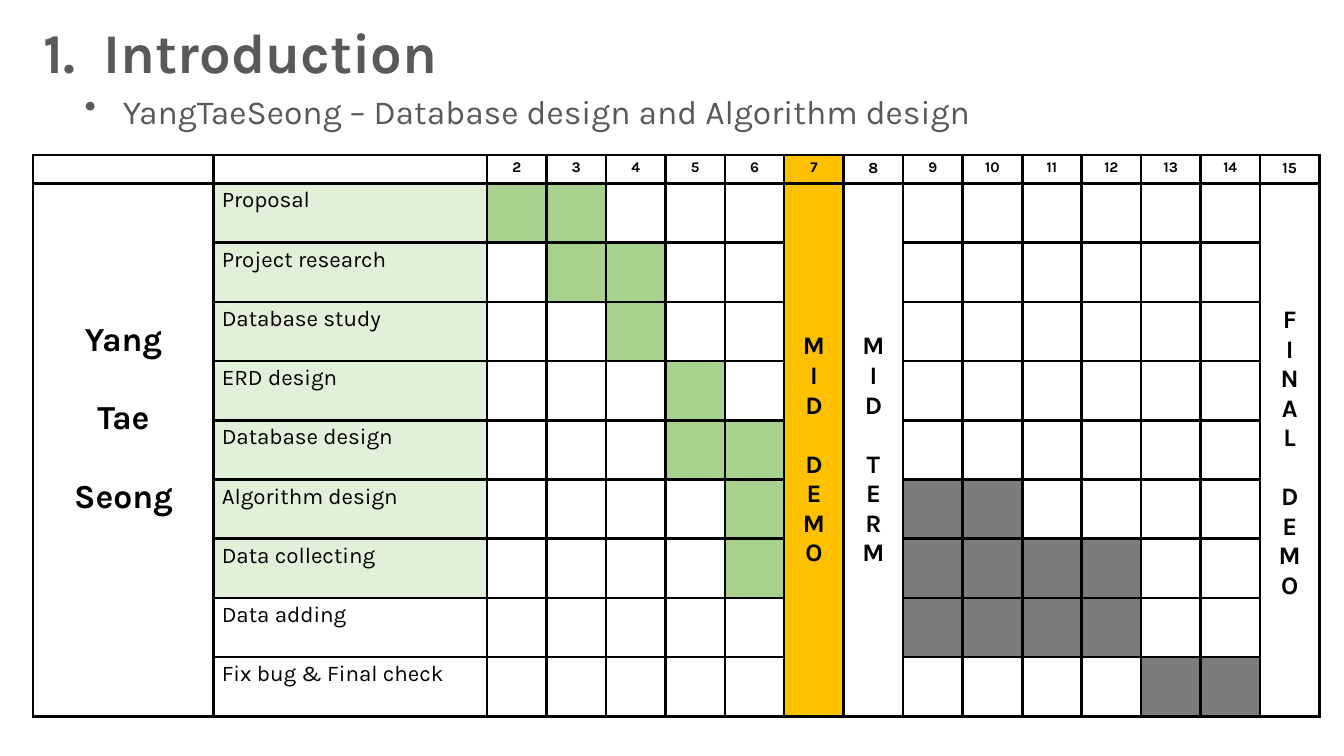
from dataclasses import dataclass

from lxml.etree import SubElement
from pptx import Presentation
from pptx.dml.color import RGBColor
from pptx.enum.text import MSO_ANCHOR as Anchor, PP_ALIGN as Align
from pptx.oxml.ns import qn
from pptx.slide import Slide
from pptx.table import Table, _Cell as Cell
from pptx.text.text import _Paragraph as Paragraph
from pptx.util import Inches, Pt

FONT = "Karla"
BLACK = RGBColor(0x00, 0x00, 0x00)
WHITE = RGBColor(0xFF, 0xFF, 0xFF)
HEADING_GREY = RGBColor(0x59, 0x59, 0x59)
PALE_GREEN = RGBColor(0xE2, 0xF0, 0xD9)
DONE_GREEN = RGBColor(0xA9, 0xD1, 0x8E)
PLANNED_GREY = RGBColor(0x7C, 0x7C, 0x7C)
AMBER = RGBColor(0xFF, 0xC0, 0x00)

FIRST_WEEK, LAST_WEEK = 2, 15
WEEK_COLUMN = 2
THICK_AFTER = (4, 10)
THIN, THICK = Pt(1.98), Pt(2.55)
HEADER_HEIGHT, BODY_HEIGHT = 0.28, 5.29


@dataclass(frozen=True)
class Task:
    name: str
    done: tuple[int, ...] = ()
    planned: tuple[int, ...] = ()


@dataclass(frozen=True)
class Band:
    """A column merged over all tasks, with one line per entry."""
    column: int
    groups: tuple[tuple[str, ...], ...]
    size: float
    gap: float
    fill: RGBColor = WHITE
    top: float | None = None  # None centres the text vertically


TASKS = [
    Task("Proposal", done=(2, 3)),
    Task("Project research", done=(3, 4)),
    Task("Database study", done=(4,)),
    Task("ERD design", done=(5,)),
    Task("Database design", done=(5, 6)),
    Task("Algorithm design", done=(6,), planned=(9, 10)),
    Task("Data collecting", done=(6,), planned=(9, 10, 11, 12)),
    Task("Data adding", planned=(9, 10, 11, 12)),
    Task("Fix bug & Final check", planned=(13, 14)),
]


def column_of(week: int) -> int:
    return week - FIRST_WEEK + WEEK_COLUMN


BANDS = [
    Band(0, (("Yang",), ("Tae",), ("Seong",)), 24, 28, top=1.36),
    Band(column_of(7), (tuple("MID"), tuple("DEMO")), 18, 21, AMBER),
    Band(column_of(8), (tuple("MID"), tuple("TERM")), 18, 21),
    Band(column_of(15), (tuple("FINAL"), tuple("DEMO")), 18, 21, top=1.21),
]


def style(paragraph: Paragraph, size: float, color: RGBColor = BLACK, bold: bool = False) -> None:
    font = paragraph.font
    font.name, font.size, font.bold = FONT, Pt(size), bold
    font.color.rgb = color


def add_heading(slide: Slide, text: str, box: tuple[float, ...], size: float, bold: bool) -> Paragraph:
    frame = slide.shapes.add_textbox(*map(Inches, box)).text_frame
    frame.word_wrap = True
    paragraph = frame.paragraphs[0]
    paragraph.text = text
    style(paragraph, size, HEADING_GREY, bold)
    return paragraph


def add_bullet(paragraph: Paragraph, indent: float) -> None:
    properties = paragraph._p.get_or_add_pPr()
    properties.set("marL", str(Inches(indent)))
    properties.set("indent", str(-Inches(indent)))
    bullet = SubElement(properties, qn("a:buChar"), char="•")
    properties.insert(0, bullet)


def set_borders(cell: Cell, left: int, right: int) -> None:
    properties = cell._tc.get_or_add_tcPr()
    for side, width in (("L", left), ("R", right), ("T", THIN), ("B", THIN)):
        line = SubElement(properties, qn(f"a:ln{side}"), w=str(width))
        fill = SubElement(line, qn("a:solidFill"))
        SubElement(fill, qn("a:srgbClr"), val=str(BLACK))


def set_cell(cell: Cell, text: str, size: float, fill: RGBColor,
             bold: bool = False, align: Align = Align.LEFT) -> None:
    cell.fill.solid()
    cell.fill.fore_color.rgb = fill
    cell.margin_left = cell.margin_right = Inches(0.08)
    cell.margin_top = cell.margin_bottom = Inches(0.04)
    paragraph = cell.text_frame.paragraphs[0]
    paragraph.text = text
    paragraph.alignment = align
    style(paragraph, size, bold=bold)


def fill_band(table: Table, band: Band) -> None:
    cell = table.cell(1, band.column)
    cell.merge(table.cell(len(TASKS), band.column))
    cell.fill.solid()
    cell.fill.fore_color.rgb = band.fill
    if band.top is None:
        cell.vertical_anchor = Anchor.MIDDLE
    else:
        cell.margin_top = Inches(band.top)
    frame = cell.text_frame
    frame.text = "\n".join(line for group in band.groups for line in group)
    group_starts = [sum(map(len, band.groups[:i])) for i in range(1, len(band.groups))]
    for index, paragraph in enumerate(frame.paragraphs):
        paragraph.alignment = Align.CENTER
        style(paragraph, band.size, bold=True)
        if index in group_starts:
            paragraph.space_before = Pt(band.gap)


def add_schedule(slide: Slide) -> None:
    weeks = range(FIRST_WEEK, LAST_WEEK + 1)
    widths = [1.79, 2.71] + [0.59] * len(weeks)
    heights = [HEADER_HEIGHT] + [BODY_HEIGHT / len(TASKS)] * len(TASKS)
    table = slide.shapes.add_table(
        len(heights), len(widths), Inches(0.33), Inches(1.54),
        Inches(sum(widths)), Inches(sum(heights))).table
    table.first_row = table.horz_banding = False
    for column, width in zip(table.columns, widths):
        column.width = Inches(width)
    for row, height in zip(table.rows, heights):
        row.height = Inches(height)

    # Grid lines
    thick_columns = [column_of(week) for week in THICK_AFTER]
    for row in table.rows:
        for index, cell in enumerate(row.cells):
            set_borders(cell, THICK if index - 1 in thick_columns else THIN,
                        THICK if index in thick_columns else THIN)

    # Week numbers
    for index in range(WEEK_COLUMN):
        set_cell(table.cell(0, index), "", 10.5, WHITE)
    for week in weeks:
        set_cell(table.cell(0, column_of(week)), str(week), 11 if week in (8, 15) else 10.5,
                 AMBER if week == 7 else WHITE, True, Align.CENTER)

    # Tasks and their weeks
    for row, task in enumerate(TASKS, 1):
        set_cell(table.cell(row, 1), task.name, 16, PALE_GREEN if task.done else WHITE)
        for week in weeks:
            color = (DONE_GREEN if week in task.done
                     else PLANNED_GREY if week in task.planned else WHITE)
            set_cell(table.cell(row, column_of(week)), "", 16, color)

    # Merged columns
    for band in BANDS:
        fill_band(table, band)


def main() -> None:
    presentation = Presentation()
    presentation.slide_width, presentation.slide_height = Inches(13.33), Inches(7.5)
    slide = presentation.slides.add_slide(presentation.slide_layouts[6])
    add_heading(slide, "1.  Introduction", (0.33, 0.12, 6.12, 0.77), 40, True)
    subtitle = add_heading(slide, "YangTaeSeong – Database design and Algorithm design",
                           (0.74, 0.85, 12.59, 0.5), 24, False)
    add_bullet(subtitle, 0.38)
    add_schedule(slide)
    presentation.save("out.pptx")


if __name__ == "__main__":
    main()
